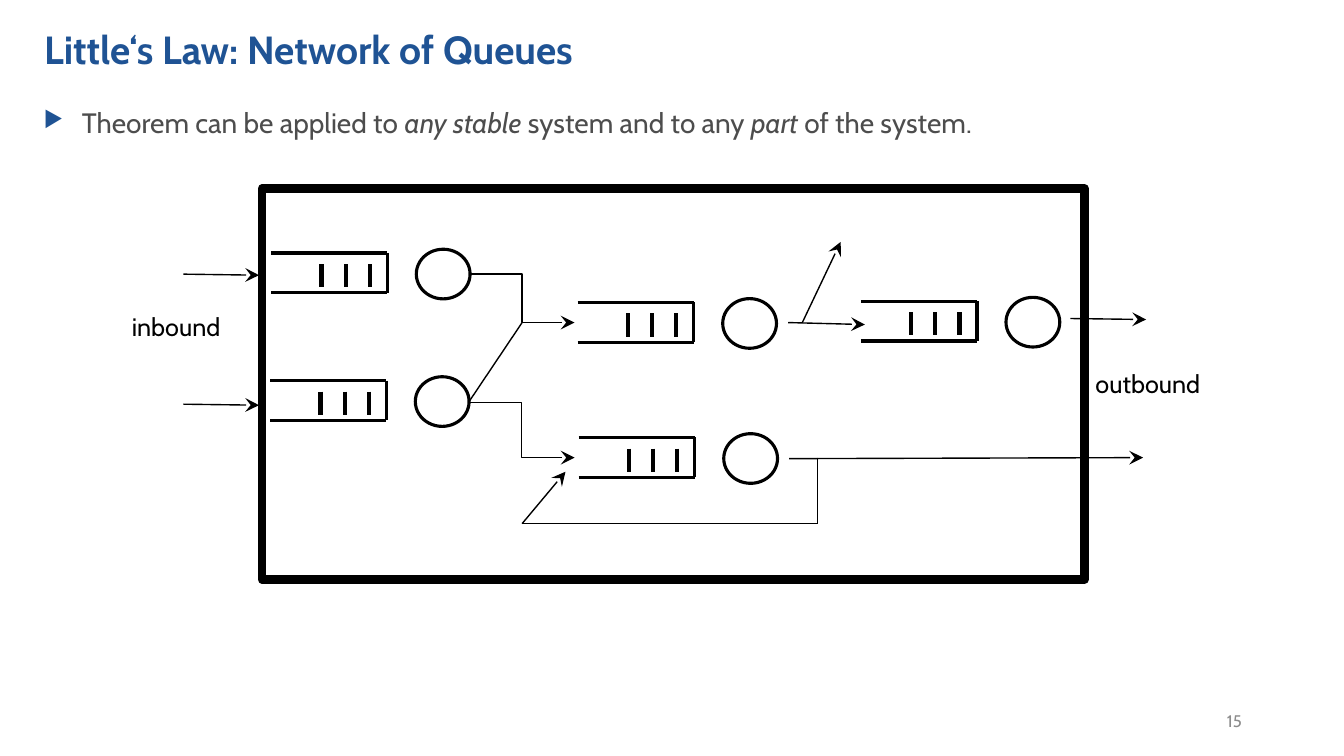
from lxml import etree
from pptx import Presentation
from pptx import util as u
from pptx.dml.color import RGBColor
from pptx.enum import shapes, text
from pptx.oxml.ns import qn

BLUE = RGBColor(0x1F, 0x53, 0x94)
GREY = RGBColor(0x4D, 0x4D, 0x4D)
PALE = RGBColor(0x8C, 0x8C, 0x8C)
BLACK = RGBColor(0, 0, 0)
FONT = "Cabin"

# Grid of 40 columns by 30 rows
WIDE, HIGH = u.Inches(13.333), u.Inches(7.5)
LINE = shapes.MSO_CONNECTOR.STRAIGHT
BENT = shapes.MSO_CONNECTOR.ELBOW


def col(n):
    return round(WIDE * n / 40)


def row(n):
    return round(HIGH * n / 30)


def label(slide, area, runs, size, color, bold=False, align=None, mid=False):
    """Text box; each run is (words, italic)."""
    x, y, w, h = area
    frame = slide.shapes.add_textbox(col(x), row(y), col(w), row(h)).text_frame
    frame.word_wrap = True
    if mid:
        frame.vertical_anchor = text.MSO_ANCHOR.MIDDLE
    para = frame.paragraphs[0]
    para.alignment = align
    for words, slant in runs:
        run = para.add_run()
        run.text = words
        font = run.font
        font.name, font.size = FONT, u.Pt(size)
        font.bold, font.italic = bold, slant
        font.color.rgb = color
    return para


def bullet(para):
    """Blue triangle with a hanging indent."""
    props = para._p.get_or_add_pPr()
    props.set("marL", str(u.Inches(0.38)))
    props.set("indent", str(-u.Inches(0.38)))
    tint = etree.SubElement(props, qn("a:buClr"))
    etree.SubElement(tint, qn("a:srgbClr"), val=str(BLUE))
    etree.SubElement(props, qn("a:buSzPct"), val="80000")
    etree.SubElement(props, qn("a:buChar"), char="▶")


def line(home, start, end, width=1, head=False, kind=LINE):
    """Connector between two grid points, with an optional arrowhead."""
    (x1, y1), (x2, y2) = start, end
    link = home.add_connector(kind, col(x1), row(y1), col(x2), row(y2))
    link.line.width = u.Pt(width)
    link.line.color.rgb = BLACK
    if head:
        etree.SubElement(link.line._get_or_add_ln(), qn("a:tailEnd"),
                         type="stealth", w="lg", len="lg")
    etree.SubElement(link._element.spPr, qn("a:effectLst"))


def outline(home, kind, area, width):
    """Unfilled shape with a black outline."""
    x, y, w, h = area
    shape = home.add_shape(kind, col(x), row(y), col(w), row(h))
    shape.shadow.inherit = False
    shape.fill.background()
    shape.line.color.rgb = BLACK
    shape.line.width = u.Pt(width)
    etree.SubElement(shape.line._get_or_add_ln(), qn("a:round"))


def queue(slide, x, y):
    """Open-ended queue with three waiting jobs and a server."""
    home = slide.shapes.add_group_shape().shapes
    right, low = x + 3.46, y + 1.58
    line(home, (x, y), (right, y), 2.25)
    line(home, (right, y), (right, low), 2.25)
    line(home, (x, low), (right, low), 2.25)
    for job in range(3):
        spot = x + 1.5 + 0.72 * job
        line(home, (spot, y + 0.44), (spot, y + 1.36), 3)
    outline(home, shapes.MSO_SHAPE.OVAL, (x + 4.32, y - 0.15, 1.6, 1.97), 2.25)


def main():
    prs = Presentation()
    prs.slide_width, prs.slide_height = WIDE, HIGH
    slide = prs.slides.add_slide(prs.slide_layouts[6])
    home = slide.shapes

    # Title, statement and page number
    label(slide, (1.02, 0.52, 35, 2.84),
          [("Little‘s Law: Network of Queues", False)], 28, BLUE, True, mid=True)
    bullet(label(slide, (1, 4, 35, 2),
                 [("Theorem can be applied to ", False), ("any stable ", True),
                  ("system and to any ", False), ("part ", True),
                  ("of the system.", False)], 20, GREY))
    label(slide, (28.26, 27.8, 9, 1.6), [("15", False)], 12, PALE,
          align=text.PP_ALIGN.RIGHT, mid=True)

    # System border and its queues
    outline(home, shapes.MSO_SHAPE.RECTANGLE, (7.8, 7.48, 24.48, 15.52), 6)
    for x, y in ((8.07, 10.04), (17.19, 12), (8.04, 15.1),
                 (17.22, 17.36), (25.62, 11.95)):
        queue(slide, x, y)

    # Flows in, between the queues and out
    for start, end in (((5.46, 10.88), (7.71, 10.92)),
                       ((5.46, 16.04), (7.71, 16.08)),
                       ((23.49, 18.2), (34.02, 18.16)),
                       ((23.46, 12.8), (25.74, 12.88)),
                       ((31.86, 12.64), (34.11, 12.68)),
                       ((23.88, 12.8), (25.02, 9.6))):
        line(home, start, end, head=True)
    fork, turn, back = (13.95, 15.96), (24.33, 20.78), (15.54, 20.78)
    line(home, (13.98, 10.88), (17.1, 12.8), head=True, kind=BENT)
    line(home, fork, (17.1, 18.16), head=True, kind=BENT)
    line(home, fork, (15.54, 12.8))

    # Feedback loop
    line(home, (24.33, 18.16), turn)
    line(home, turn, back)
    line(home, back, (16.83, 18.72), head=True)

    # Flow labels
    for words, x, y in (("inbound", 3.63, 12.16), ("outbound", 32.31, 14.44)):
        label(slide, (x, y, 4.2, 1.6), [(words, False)], 18, BLACK)

    prs.save("out.pptx")


if __name__ == "__main__":
    main()
